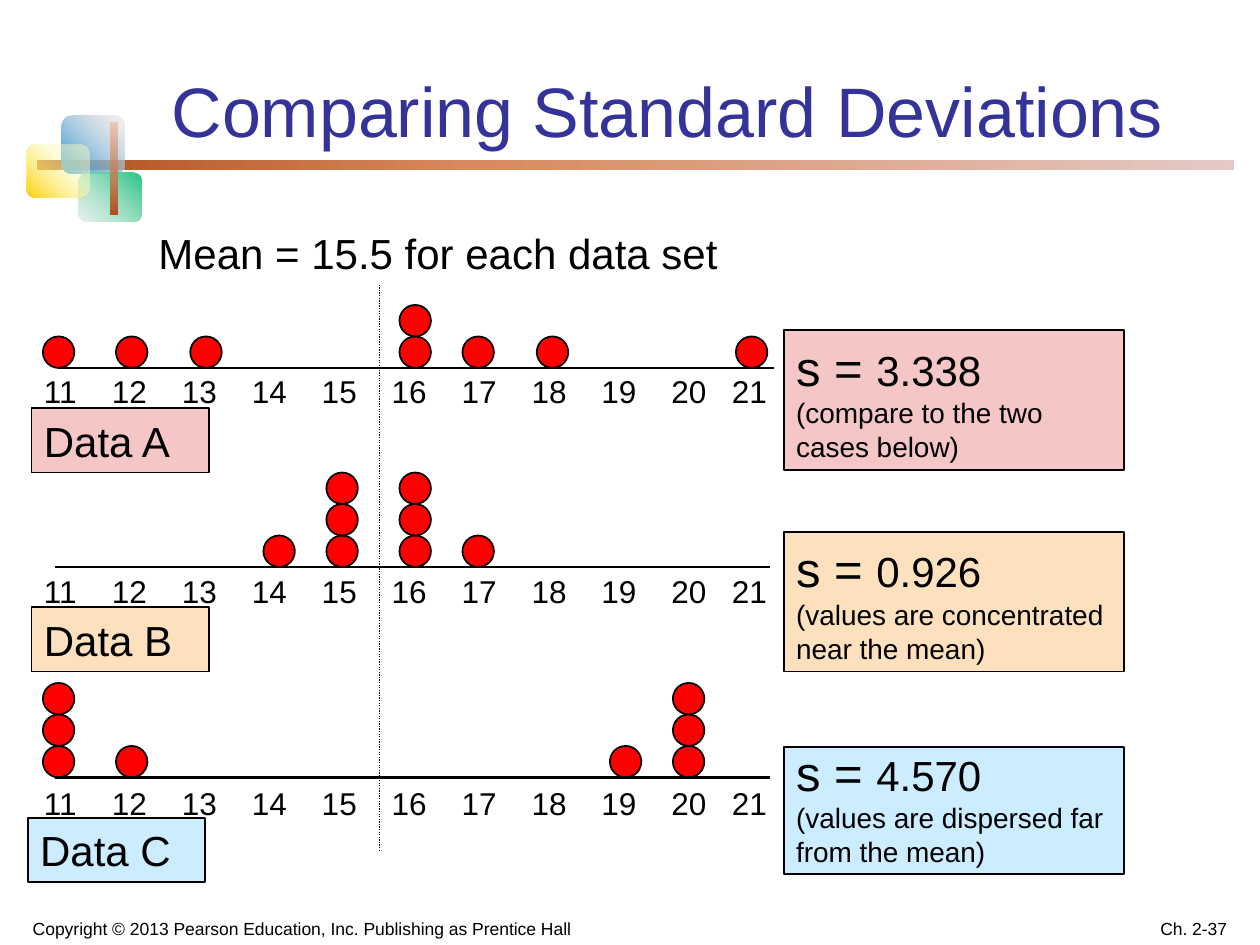
from lxml import etree
from pptx import Presentation
from pptx import util as u
from pptx.dml.color import RGBColor
from pptx.enum import dml, shapes, text
from pptx.oxml import parse_xml
from pptx.oxml.ns import nsdecls, qn

Inches = u.Inches
TYPES = shapes.MSO_SHAPE


def paint(color, hex_color):
    color.rgb = RGBColor.from_string(hex_color)


def write(tf, paragraphs, align=text.PP_ALIGN.LEFT, color="000000",
          anchor=text.MSO_ANCHOR.MIDDLE, inset=0.1):
    """Fill a text frame; each paragraph is a list of (wording, size) runs."""
    tf.word_wrap = True
    tf.auto_size = text.MSO_AUTO_SIZE.NONE
    tf.vertical_anchor = anchor
    tf.margin_left = tf.margin_right = Inches(inset)
    tf.margin_top = tf.margin_bottom = Inches(0.05)
    for i, runs in enumerate(paragraphs):
        p = tf.paragraphs[0] if i == 0 else tf.add_paragraph()
        p.alignment = align
        for wording, size in runs:
            r = p.add_run()
            r.text = wording
            r.font.size = u.Pt(size)
            r.font.name = "Arial"
            paint(r.font.color, color)


prs = Presentation()
prs.slide_width, prs.slide_height = Inches(10), Inches(7.5)
s = prs.slides.add_slide(prs.slide_layouts[5])

# Gradient ornament: box, corner rounding, angle, stops (position, colour, opacity)
ornament = [
    ((0.29, 1.27, 9.5, 0.08), 0, 0,
     [(0, "AE511E", 100), (37, "D88A5E", 100), (100, "E4C9C6", 100)]),
    ((0.49, 0.92, 0.5, 0.46), 0.17, 315, [(0, "2895D8", 100), (100, "F7E2D9", 50)]),
    ((0.62, 1.37, 0.5, 0.39), 0.17, 135, [(0, "25C580", 100), (100, "CCE2D9", 50)]),
    ((0.21, 1.15, 0.5, 0.42), 0.17, 315, [(0, "FFCF01", 100), (63, "FCFCBC", 50)]),
    ((0.88, 0.97, 0.05, 0.73), 0, 270, [(0, "AE511E", 100), (100, "EAA782", 50)]),
]
for box, rounding, angle, stops in ornament:
    sp = s.shapes.add_shape(TYPES.ROUNDED_RECTANGLE, *map(Inches, box))
    sp.adjustments[0] = rounding
    sp.shadow.inherit = False
    sp.line.fill.background()
    sp.fill.background()
    stop_xml = "".join(
        f'<a:gs pos="{pos * 1000}"><a:srgbClr val="{color}">'
        f'<a:alpha val="{opacity * 1000}"/></a:srgbClr></a:gs>'
        for pos, color, opacity in stops)
    gradient = parse_xml(
        f'<a:gradFill {nsdecls("a")} rotWithShape="1"><a:gsLst>{stop_xml}</a:gsLst>'
        f'<a:lin ang="{angle * 60000}" scaled="0"/></a:gradFill>')
    props = sp._element.spPr
    props.replace(props.find(qn("a:noFill")), gradient)

title = s.shapes.title
title.left, title.top, title.width, title.height = map(Inches, (1.26, 0.17, 8.07, 1.08))
write(title.text_frame, [[("Comparing Standard Deviations", 40)]],
      text.PP_ALIGN.CENTER, "333399", text.MSO_ANCHOR.BOTTOM, 0.09)
title.text_frame.paragraphs[0].line_spacing = 0.8

mean = s.shapes.add_textbox(*map(Inches, (1.16, 1.75, 4.93, 0.51)))
write(mean.text_frame, [[("Mean = 15.5 for each data set", 24)]])

# Name, fill, axis left and height, label top, dot stacks (left, count),
# name box left and top, result box top, height and wording
data_sets = [
    ("Data A", "F4C7C6", 0.47, 2.92, 2.9,
     [(0.34, 1), (0.92, 1), (1.51, 1), (3.17, 2), (3.67, 1), (4.26, 1), (5.84, 1)],
     (0.25, 3.24), (2.62, 1.11), "3.338", "(compare to the two cases below)"),
    ("Data B", "FDE0BD", 0.44, 4.5, 4.49,
     [(2.09, 1), (2.59, 3), (3.17, 3), (3.67, 1)],
     (0.25, 4.82), (4.22, 1.11), "0.926", "(values are concentrated near the mean)"),
    ("Data C", "CCECFF", 0.44, 6.17, 6.17,
     [(0.34, 3), (0.92, 1), (4.84, 1), (5.34, 3)],
     (0.22, 6.49), (5.93, 1.01), "4.570", "(values are dispersed far from the mean)"),
]
DOT = 0.25
TAB_STEP = (4.98 - 0.54) / 8
tab_stops = [0.54 + i * TAB_STEP for i in range(9)] + [5.46]
scale = "\t".join(str(value) for value in range(11, 22))
axes = [(3.01, 2.26, 3.01, 6.75, 0.75)]

for (name, fill, axis_left, axis_y, label_top, stacks, name_at,
     (result_top, result_height), deviation, remark) in data_sets:
    axes.append((axis_left, axis_y, axis_left + 5.67, axis_y, 1.5))

    labels = s.shapes.add_textbox(*map(Inches, (0.25, label_top, 6.09, 0.4)))
    tab_list = etree.SubElement(
        labels.text_frame.paragraphs[0]._p.get_or_add_pPr(), qn("a:tabLst"))
    for stop in tab_stops:
        etree.SubElement(tab_list, qn("a:tab"), pos=str(int(Inches(stop))), algn="l")
    write(labels.text_frame, [[(scale, 18)]])

    for left, count in stacks:
        for level in range(1, count + 1):
            dot = s.shapes.add_shape(TYPES.OVAL, Inches(left), Inches(axis_y - level * DOT),
                                     Inches(DOT), Inches(DOT))
            dot.shadow.inherit = False
            dot.fill.solid()
            paint(dot.fill.fore_color, "FF0000")
            paint(dot.line.color, "000000")
            dot.line.width = u.Pt(1)

    boxes = [
        ((*name_at, 1.41, 0.51), [[(name, 24)]]),
        ((6.22, result_top, 2.7, result_height),
         [[("s = ", 28), (deviation, 24)], [(remark, 16)]]),
    ]
    for box, wording in boxes:
        sp = s.shapes.add_shape(TYPES.RECTANGLE, *map(Inches, box))
        sp.shadow.inherit = False
        sp.fill.solid()
        paint(sp.fill.fore_color, fill)
        paint(sp.line.color, "000000")
        sp.line.width = u.Pt(1)
        write(sp.text_frame, wording)
    if name == "Data C":
        sp.text_frame.paragraphs[0].line_spacing = 0.8

for x1, y1, x2, y2, width in axes:
    line = s.shapes.add_connector(shapes.MSO_CONNECTOR.STRAIGHT,
                                  *map(Inches, (x1, y1, x2, y2)))
    paint(line.line.color, "000000")
    line.line.width = u.Pt(width)
    if x1 == x2:
        line.line.dash_style = dml.MSO_LINE.ROUND_DOT
    etree.SubElement(line._element.spPr, qn("a:effectLst"))

footers = [
    ((0.17, 7.15, 5.33, 0.35), text.PP_ALIGN.LEFT,
     "Copyright © 2013 Pearson Education, Inc. Publishing as Prentice Hall"),
    ((7.5, 7.15, 2.33, 0.35), text.PP_ALIGN.RIGHT, "Ch. 2-37"),
]
for box, align, wording in footers:
    footer = s.shapes.add_textbox(*map(Inches, box))
    write(footer.text_frame, [[(wording, 10)]], align,
          anchor=text.MSO_ANCHOR.BOTTOM, inset=0.09)

prs.save("out.pptx")
